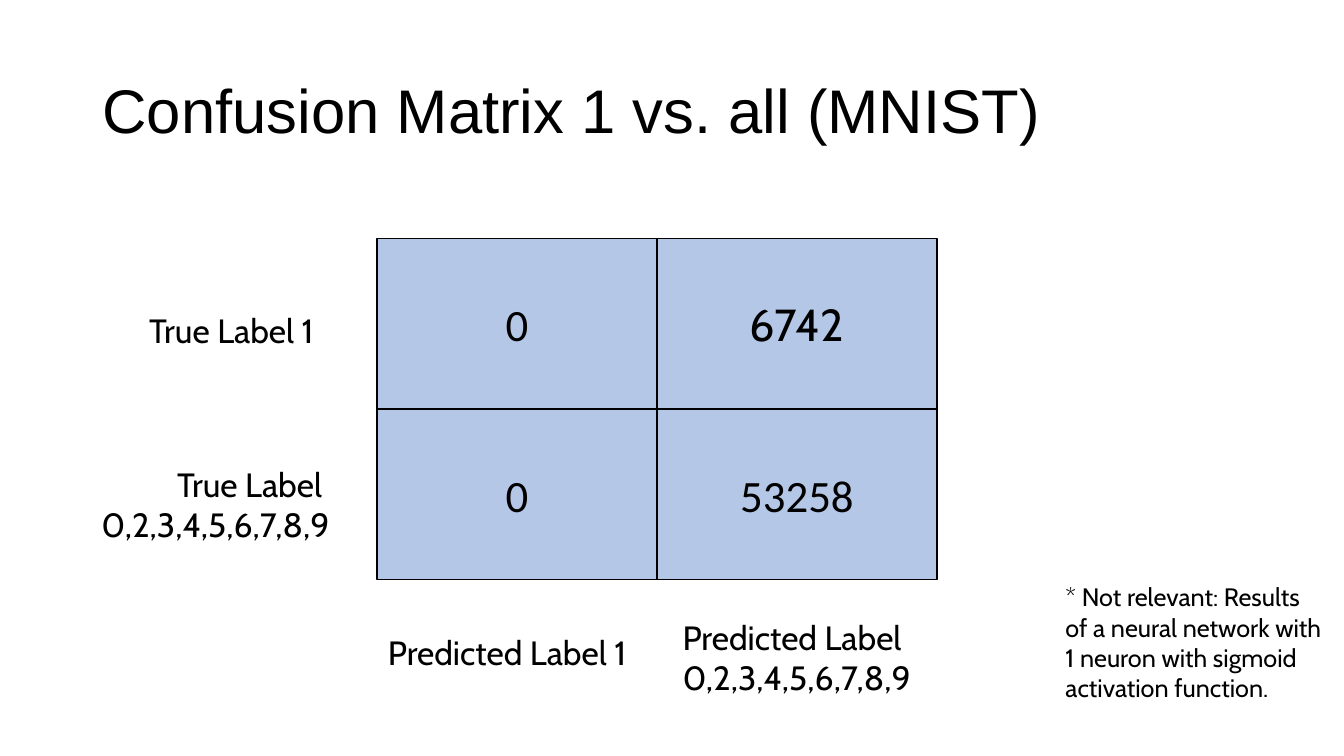
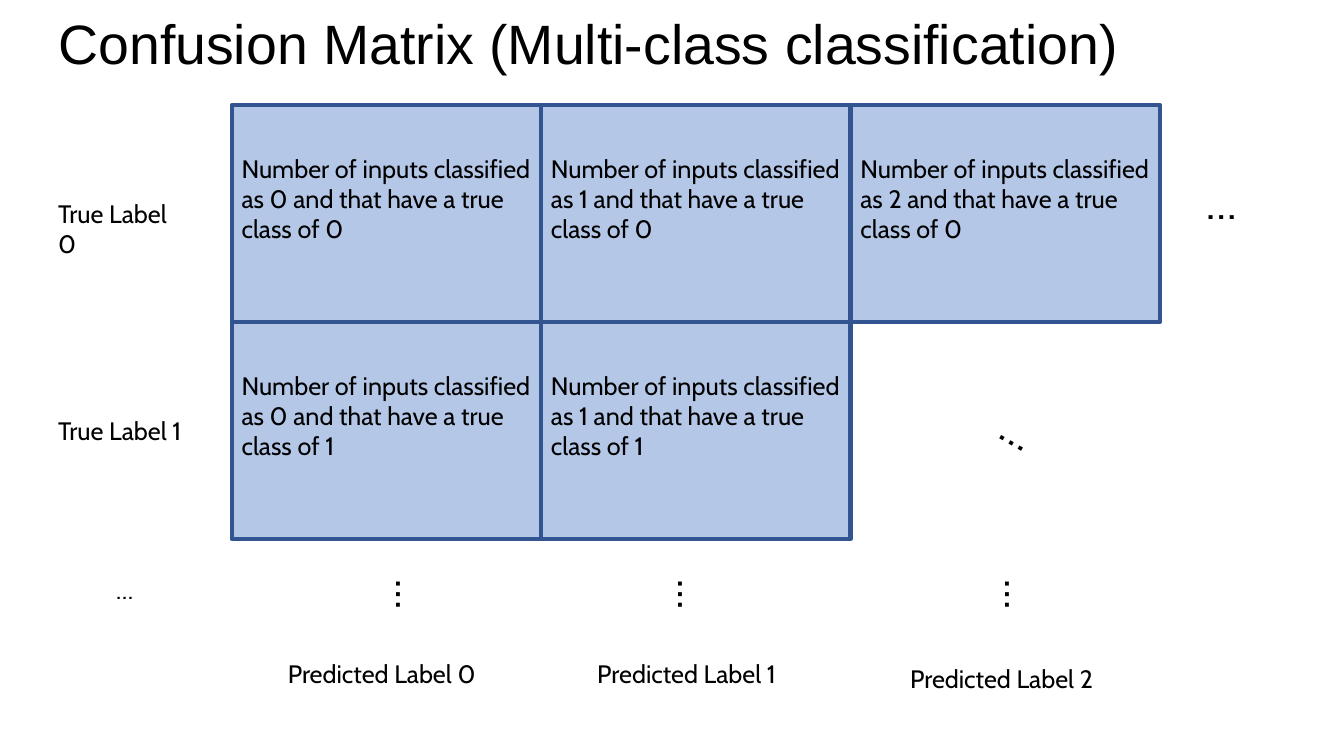
from pptx import Presentation
from pptx.dml.color import RGBColor
from pptx.enum import shapes, text
from pptx.util import Pt

BLACK = RGBColor(0, 0, 0)
BLUE = RGBColor(0xB4, 0xC7, 0xE7)
NAVY = RGBColor(0x32, 0x54, 0x91)
HEAD, BODY, DIGIT = "Arial", "Cabin", "Calibri"
LEFT, MID, RIGHT = text.PP_ALIGN.LEFT, text.PP_ALIGN.CENTER, text.PP_ALIGN.RIGHT
DOTS = "…"


def style(frame, words, size, font=BODY, align=LEFT):
    frame.text = words
    for para in frame.paragraphs:
        para.alignment = align
        for run in para.runs:
            run.font.size = Pt(size)
            run.font.name = font
            run.font.color.rgb = BLACK


def start(deck, words, box, size):
    """Add a slide with its title in the given box."""
    slide = deck.slides.add_slide(deck.slide_layouts[5])
    title = slide.shapes.title
    title.left, title.top, title.width, title.height = map(Pt, box)
    frame = title.text_frame
    style(frame, words, size, HEAD)
    frame.auto_size = text.MSO_AUTO_SIZE.NONE
    frame.vertical_anchor = text.MSO_ANCHOR.MIDDLE
    frame.paragraphs[0].line_spacing = 0.9
    return slide


def label(slide, words, box, size, align=LEFT, wrap=False, turn=0):
    shape = slide.shapes.add_textbox(*map(Pt, box))
    shape.rotation = turn
    shape.text_frame.word_wrap = wrap
    style(shape.text_frame, words, size, align=align)


def cell(slide, box, edge, weight):
    """Add one matrix cell and return its text frame."""
    shape = slide.shapes.add_shape(shapes.MSO_SHAPE.RECTANGLE, *map(Pt, box))
    shape.shadow.inherit = False
    shape.fill.solid()
    shape.fill.fore_color.rgb = BLUE
    shape.line.color.rgb = edge
    shape.line.width = Pt(weight)
    frame = shape.text_frame
    frame.word_wrap = True
    frame.vertical_anchor = text.MSO_ANCHOR.MIDDLE
    return frame


def binary(deck):
    slide = start(deck, "Confusion Matrix 1 vs. all (MNIST)", (66, 29, 828, 104), 44)
    x, y, wide, high = 269.3, 170.5, 200, 121.7
    counts = [[("0", DIGIT), ("6742", BODY)], [("0", DIGIT), ("53258", DIGIT)]]
    for i, row in enumerate(counts):
        for j, (count, font) in enumerate(row):
            frame = cell(slide, (x + j * wide, y + i * high, wide, high), BLACK, 1)
            style(frame, count, 32, font, MID)

    rest = "0,2,3,4,5,6,7,8,9"
    label(slide, "True Label 1", (99.5, 218, 140.5, 36), 24)
    label(slide, "Predicted Label 1", (270, 448, 194, 36), 24)
    label(slide, "True Label \n" + rest, (51, 327.5, 191.5, 65.5), 24, RIGHT)
    label(slide, "Predicted Label\n" + rest, (480.5, 437, 191.5, 65.5), 24)
    label(slide, "* Not relevant: Results of a neural network with 1 neuron "
          "with sigmoid activation function.", (754, 412, 200, 94.5), 18, wrap=True)


def multi(deck):
    slide = start(deck, "Confusion Matrix (Multi-class classification)",
                  (34.5, 6, 917, 54), 39.6)
    x, y, wide, high = 165.5, 75, 221, 155
    for i, cols in enumerate((3, 2)):
        top = y + i * high
        label(slide, f"True Label {i}", (34.5, top + 63, 108.5, 29), 18)
        for j in range(cols):
            frame = cell(slide, (x + j * wide, top, wide, high), NAVY, 3)
            frame.margin_right = Pt(4)
            frame.margin_bottom = Pt(25)
            style(frame, f"Number of inputs classified as {j} "
                  f"and that have a true class of {i}", 18)

    for j, (left, top) in enumerate([(198.5, 467), (419.5, 467), (643, 470)]):
        label(slide, f"Predicted Label {j}", (left, top, 149, 29), 18)

    marks = [(276.5, 403, 90), (477.5, 403, 90), (711.5, 403, 90),
             (710, 284.5, 30), (854.5, 121, 0)]
    for left, top, turn in marks:
        label(slide, DOTS, (left, top, 39, 46), 32, turn=turn)
    label(slide, DOTS, (75, 407, 28, 29), 18, MID)


def main():
    deck = Presentation()
    deck.slide_width, deck.slide_height = Pt(960), Pt(540)
    binary(deck)
    multi(deck)
    deck.save("out.pptx")


if __name__ == "__main__":
    main()
